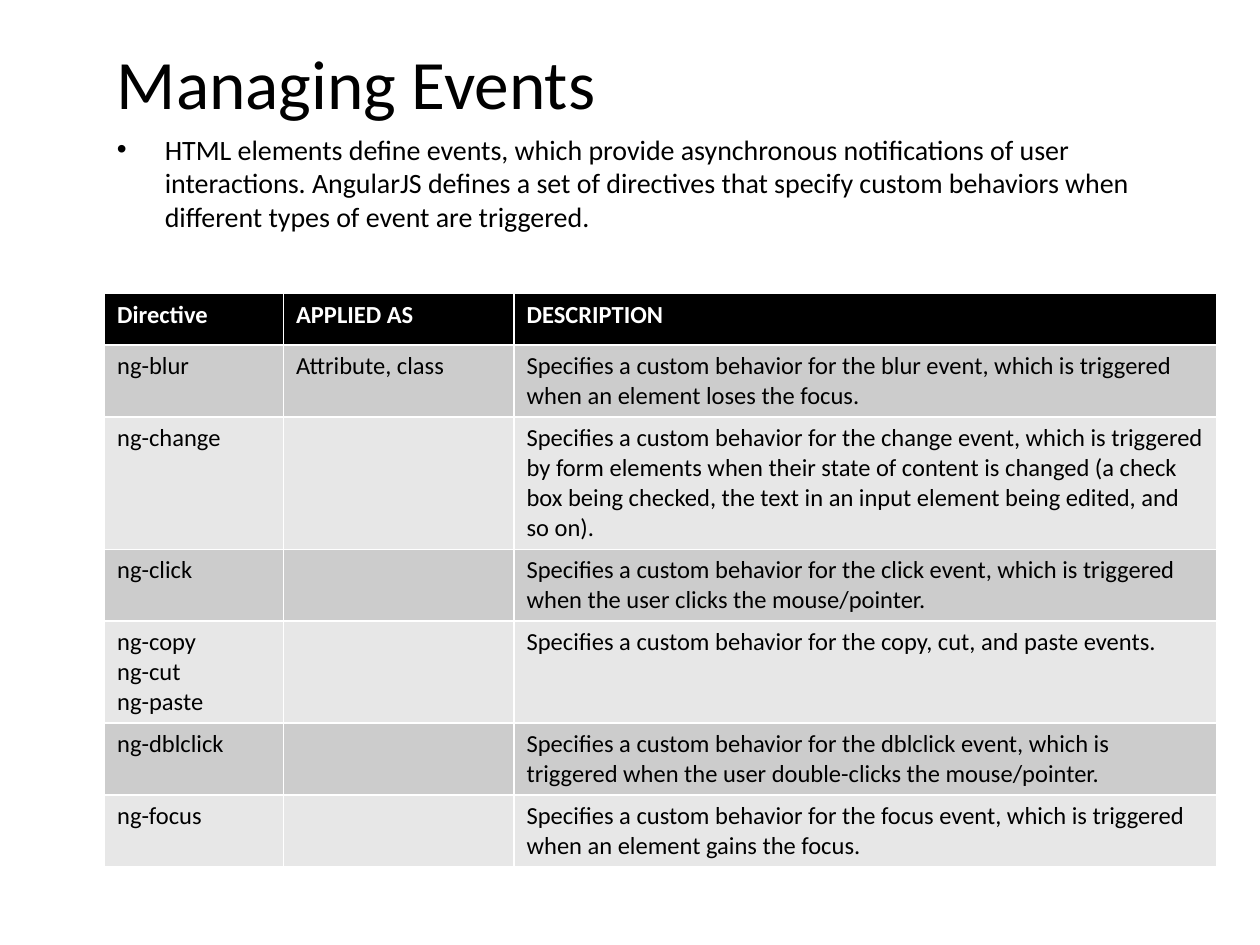
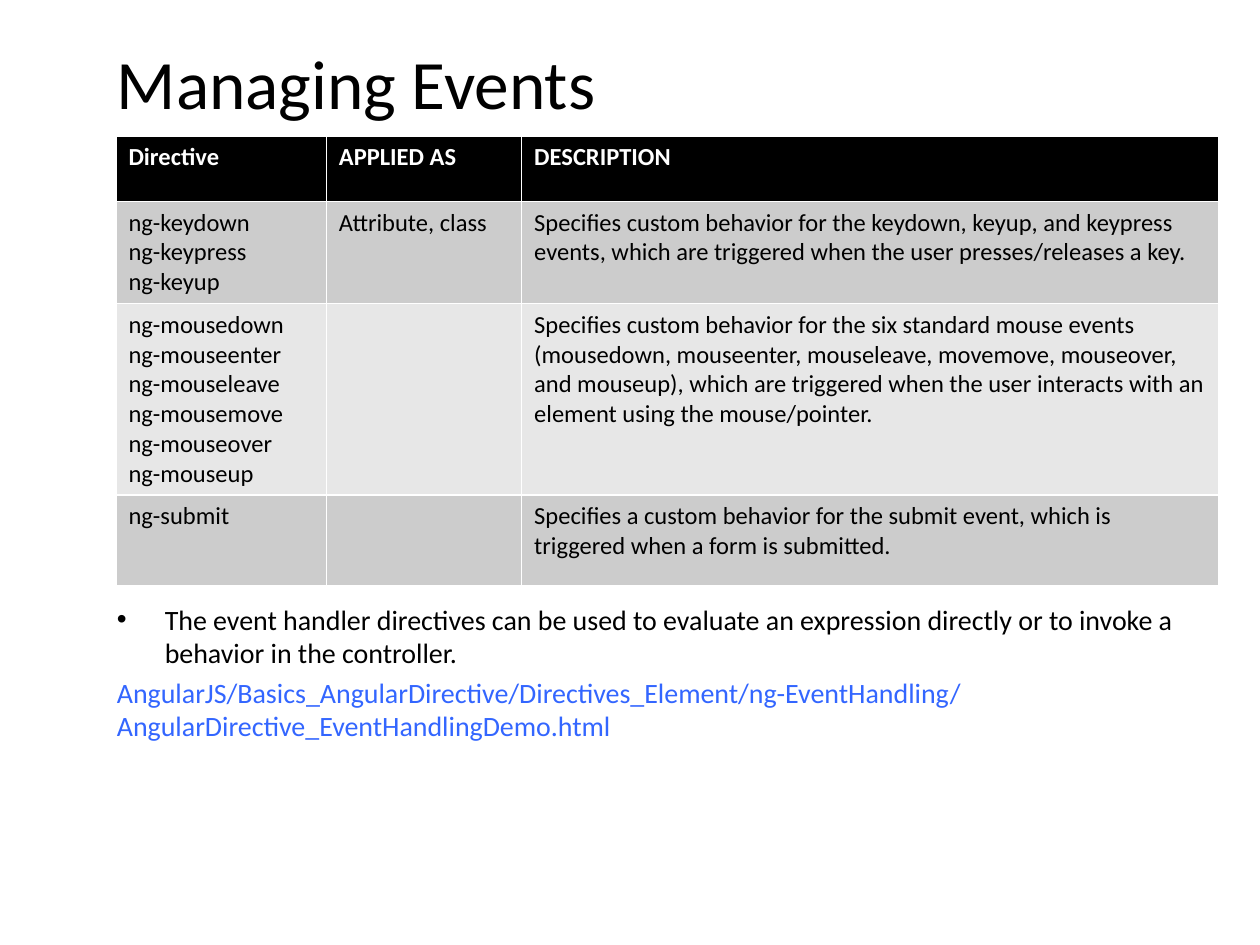
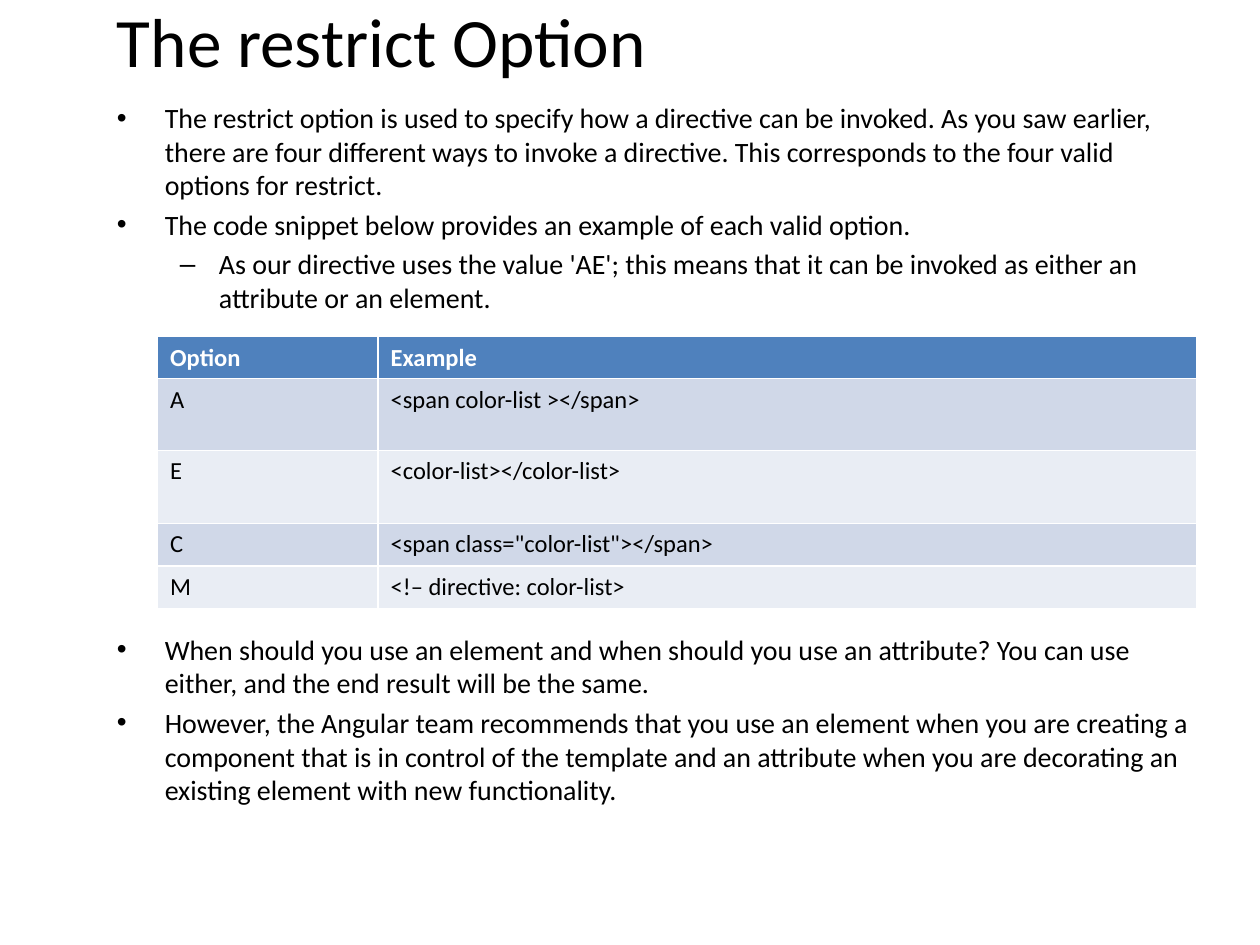
import dataclasses

import lxml.etree
import pptx
import pptx.dml.color
import pptx.enum.text
import pptx.oxml.ns
import pptx.util

Inches = pptx.util.Inches


@dataclasses.dataclass(frozen=True)
class Theme:
    font: str = "Calibri"
    bullet_font: str = "Arial"
    title_size: float = 39.6
    body_size: float = 16
    table_size: float = 14
    body_gap: float = 3.4
    ink: str = "000000"
    header_ink: str = "FFFFFF"
    link: str = "3366FF"


@dataclasses.dataclass(frozen=True)
class TableColors:
    header: str
    bands: tuple


@dataclasses.dataclass(frozen=True)
class ListStyle:
    color: str
    bullet: str = ""
    margin: float = 0
    hang: float = 0


THEME = Theme()
GRAY_TABLE = TableColors("000000", ("CCCCCC", "E7E7E7"))
BLUE_TABLE = TableColors("4F81BD", ("D0D8E8", "E9EDF4"))
POINT = ListStyle(THEME.ink, "•", 0.38, 0.38)
SUBPOINT = ListStyle(THEME.ink, "–", 0.81, 0.31)
LINK = ListStyle(THEME.link)

TITLE_BOX = (0.83, 0.29, 8.83, 0.71)
DIRECTIVE_HEADER = ("Directive", "APPLIED AS", "DESCRIPTION")

BASIC_EVENTS = (
    DIRECTIVE_HEADER,
    ("ng-blur", "Attribute, class",
     "Specifies a custom behavior for the blur event, which is triggered "
     "when an element loses the focus."),
    ("ng-change", "",
     "Specifies a custom behavior for the change event, which is triggered "
     "by form elements when their state of content is changed (a check box "
     "being checked, the text in an input element being edited, and so on)."),
    ("ng-click", "",
     "Specifies a custom behavior for the click event, which is triggered "
     "when the user clicks the mouse/pointer."),
    ("ng-copy\nng-cut\nng-paste", "",
     "Specifies a custom behavior for the copy, cut, and paste events."),
    ("ng-dblclick", "",
     "Specifies a custom behavior for the dblclick event, which is triggered "
     "when the user double-clicks the mouse/pointer."),
    ("ng-focus", "",
     "Specifies a custom behavior for the focus event, which is triggered "
     "when an element gains the focus."),
)

INPUT_EVENTS = (
    DIRECTIVE_HEADER,
    ("ng-keydown\nng-keypress\nng-keyup", "Attribute, class",
     "Specifies custom behavior for the keydown, keyup, and keypress events, "
     "which are triggered when the user presses/releases a key."),
    ("ng-mousedown\nng-mouseenter\nng-mouseleave\n"
     "ng-mousemove\nng-mouseover\nng-mouseup", "",
     "Specifies custom behavior for the six standard mouse events (mousedown, "
     "mouseenter, mouseleave, movemove, mouseover, and mouseup), which are "
     "triggered when the user interacts with an element using the "
     "mouse/pointer."),
    ("ng-submit", "",
     "Specifies a custom behavior for the submit event, which is triggered "
     "when a form is submitted."),
)

RESTRICT_OPTIONS = (
    ("Option", "Example"),
    ("A", "<span color-list ></span>"),
    ("E", "<color-list></color-list>"),
    ("C", '<span class="color-list"></span>'),
    ("M", "<!– directive: color-list>"),
)


def style_font(para, size, color, bold=False):
    para.font.name = THEME.font
    para.font.size = pptx.util.Pt(size)
    para.font.bold = bold
    para.font.color.rgb = pptx.dml.color.RGBColor.from_string(color)


def add_text_frame(page, box):
    frame = page.shapes.add_textbox(*map(Inches, box)).text_frame
    frame.word_wrap = True
    return frame


def add_title(page, text, box=TITLE_BOX):
    frame = add_text_frame(page, box)
    frame.vertical_anchor = pptx.enum.text.MSO_ANCHOR.MIDDLE
    frame.text = text
    style_font(frame.paragraphs[0], THEME.title_size, THEME.ink)


def set_bullet(para, style):
    properties = para._p.get_or_add_pPr()
    properties.set("marL", str(Inches(style.margin)))
    properties.set("indent", str(-Inches(style.hang)))
    for tag, key, value in (
        ("a:buFont", "typeface", THEME.bullet_font),
        ("a:buChar", "char", style.bullet),
    ):
        element = lxml.etree.SubElement(properties, pptx.oxml.ns.qn(tag))
        element.set(key, value)


def add_list(page, box, items):
    frame = add_text_frame(page, box)
    frame.text = "\n".join(text for style, text in items)
    for para, (style, text) in zip(frame.paragraphs, items):
        para.space_before = pptx.util.Pt(THEME.body_gap)
        style_font(para, THEME.body_size, style.color)
        if style.bullet:
            para.level = 1 if style is SUBPOINT else 0
            set_bullet(para, style)


def add_grid(page, left, top, widths, heights, rows, colors):
    box = (left, top, sum(widths), sum(heights))
    table = page.shapes.add_table(
        len(heights), len(widths), *map(Inches, box)).table
    for column, width in zip(table.columns, widths):
        column.width = Inches(width)
    for index, (height, texts) in enumerate(zip(heights, rows)):
        table.rows[index].height = Inches(height)
        is_header = index == 0
        fill = colors.header if is_header else colors.bands[(index - 1) % 2]
        ink = THEME.header_ink if is_header else THEME.ink
        for cell, text in zip(table.rows[index].cells, texts):
            cell.text = text
            cell.fill.solid()
            cell.fill.fore_color.rgb = (
                pptx.dml.color.RGBColor.from_string(fill))
            for para in cell.text_frame.paragraphs:
                style_font(para, THEME.table_size, ink, is_header)


def build_basic_events(page):
    add_title(page, "Managing Events")
    add_list(page, (0.83, 1, 8.83, 1.2), (
        (POINT, "HTML elements define events, which provide asynchronous "
                "notifications of user interactions. AngularJS defines a set "
                "of directives that specify custom behaviors when different "
                "types of event are triggered."),
    ))
    add_grid(page, 0.83, 2.33, (1.42, 1.83, 5.58),
             (0.41, 0.57, 1.05, 0.57, 0.81, 0.57, 0.57),
             BASIC_EVENTS, GRAY_TABLE)


def build_input_events(page):
    add_title(page, "Managing Events")
    add_grid(page, 0.92, 1.08, (1.67, 1.55, 5.53),
             (0.52, 0.81, 1.52, 0.72), INPUT_EVENTS, GRAY_TABLE)
    add_list(page, (0.83, 4.73, 8.83, 1.72), (
        (POINT, "The event handler directives can be used to evaluate an "
                "expression directly or to invoke a behavior in the "
                "controller."),
        (LINK, "AngularJS/Basics_AngularDirective/Directives_Element/"
               "ng-EventHandling/AngularDirective_EventHandlingDemo.html"),
    ))


def build_restrict_option(page):
    add_title(page, "The restrict Option", (0.83, 0, 8.83, 0.63))
    add_list(page, (0.83, 0.75, 8.83, 1.85), (
        (POINT, "The restrict option is used to specify how a directive can "
                "be invoked. As you saw earlier, there are four different "
                "ways to invoke a directive. This corresponds to the four "
                "valid options for restrict."),
        (POINT, "The code snippet below provides an example of each valid "
                "option."),
        (SUBPOINT, "As our directive uses the value 'AE'; this means that it "
                   "can be invoked as either an attribute or an element."),
    ))
    add_grid(page, 1.25, 2.67, (1.75, 6.5),
             (0.33, 0.57, 0.58, 0.34, 0.34), RESTRICT_OPTIONS, BLUE_TABLE)
    add_list(page, (0.83, 4.97, 8.83, 1.95), (
        (POINT, "When should you use an element and when should you use an "
                "attribute? You can use either, and the end result will be "
                "the same."),
        (POINT, "However, the Angular team recommends that you use an element "
                "when you are creating a component that is in control of the "
                "template and an attribute when you are decorating an "
                "existing element with new functionality."),
    ))


def main():
    deck = pptx.Presentation()
    deck.slide_width = Inches(10)
    deck.slide_height = Inches(7.5)
    blank = deck.slide_layouts[6]
    for build in (build_basic_events, build_input_events,
                  build_restrict_option):
        build(deck.slides.add_slide(blank))
    deck.save("out.pptx")


if __name__ == "__main__":
    main()
